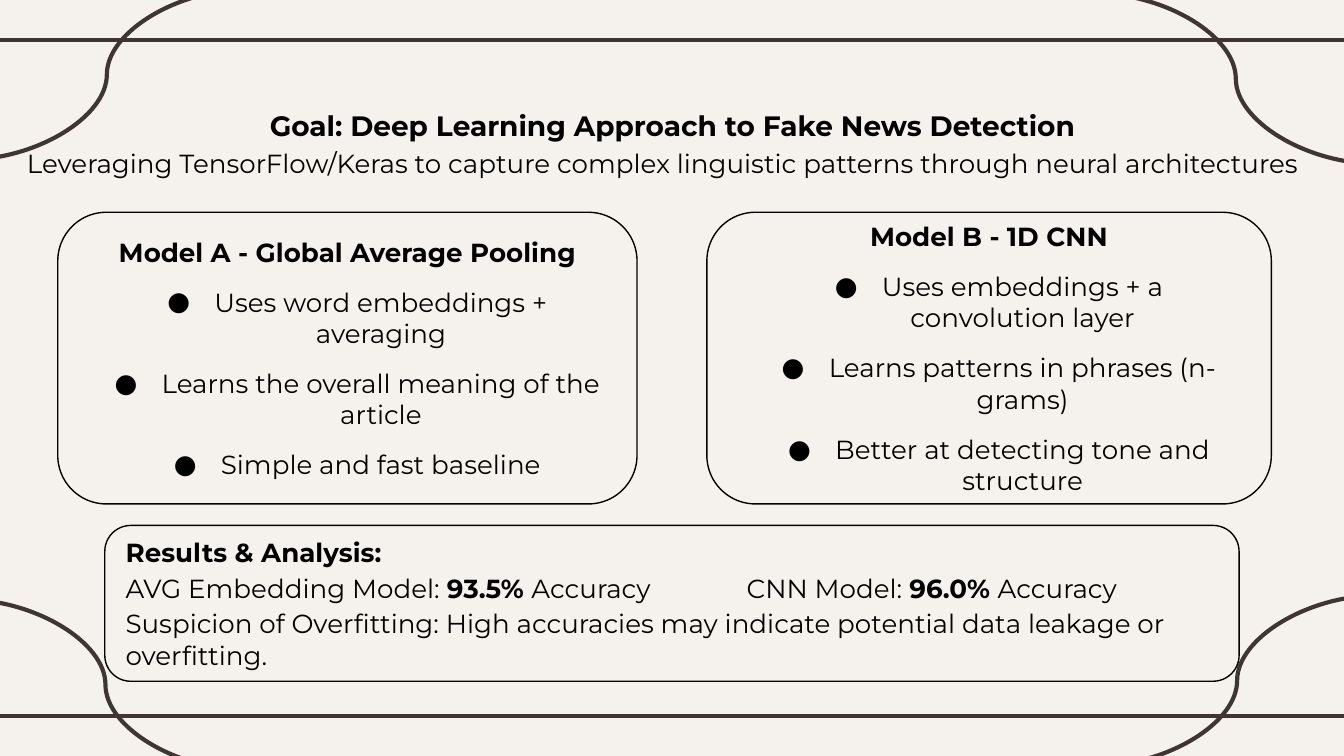
from lxml import etree
from pptx import Presentation
from pptx import util as u
from pptx.dml.color import RGBColor
from pptx.enum import shapes, text
from pptx.oxml.ns import qn

WIDTH = 10
HEIGHT = WIDTH * 9 / 16
FONT = "Montserrat"
BLACK, BROWN, CREAM = "000000", "3F3533", "F5F2EE"
CURVE_WIDTH, CURVE_HEIGHT = 2.11, 1.27
LINE_GAP = 2.4
ALIGN = text.PP_ALIGN

MODELS = [
    ("Model A - Global Average Pooling", 0.43, 4.31,
     ["Uses word embeddings + averaging",
      "Learns the overall meaning of the article",
      "Simple and fast baseline"]),
    ("Model B - 1D CNN", 5.26, 4.2,
     ["Uses embeddings + a convolution layer",
      "Learns patterns in phrases (n-grams)",
      "Better at detecting tone and structure"]),
]


def color(hex_string):
    return RGBColor.from_string(hex_string)


def add_line(slide, kind, *ends):
    line = slide.shapes.add_connector(kind, *(u.Inches(end) for end in ends))
    line.line.color.rgb = color(BROWN)
    line.line.width = u.Pt(2.25)
    etree.SubElement(line._element.spPr, qn("a:effectLst"))


def prepare_frame(shape, anchor):
    frame = shape.text_frame
    frame.word_wrap = True
    frame.auto_size = text.MSO_AUTO_SIZE.NONE
    frame.vertical_anchor = anchor
    frame.margin_left = frame.margin_right = u.Inches(0.1)
    frame.margin_top = frame.margin_bottom = u.Inches(0.1)
    return frame


def add_box(slide, left, top, width, height):
    box = slide.shapes.add_shape(shapes.MSO_SHAPE.ROUNDED_RECTANGLE,
                                 *(u.Inches(n) for n in (left, top, width, height)))
    box.shadow.inherit = False
    box.fill.background()
    box.line.color.rgb = color(BLACK)
    box.line.width = u.Pt(0.75)
    return prepare_frame(box, text.MSO_ANCHOR.MIDDLE)


def add_bullet(paragraph):
    properties = paragraph._p.get_or_add_pPr()
    properties.set("marL", str(u.Inches(0.5)))
    properties.set("indent", str(u.Inches(-0.35)))
    bullet_color = etree.SubElement(properties, qn("a:buClr"))
    etree.SubElement(bullet_color, qn("a:srgbClr"), val=BLACK)
    etree.SubElement(properties, qn("a:buFont"), typeface=FONT)
    etree.SubElement(properties, qn("a:buChar"), char="●")


def add_tab(paragraph, position):
    tabs = etree.SubElement(paragraph._p.get_or_add_pPr(), qn("a:tabLst"))
    etree.SubElement(tabs, qn("a:tab"), pos=str(u.Inches(position)), algn="l")


def add_paragraph(frame, words, align, bold=False, size=14, before=0,
                  bullet=False, tab=None):
    """Write a paragraph; words is a string or a list of (string, bold) runs."""
    first = frame.paragraphs[0]
    paragraph = frame.add_paragraph() if first.runs else first
    if bullet:
        add_bullet(paragraph)
    if tab:
        add_tab(paragraph, tab)
    paragraph.alignment = align
    paragraph.space_before = u.Pt(before)
    font = paragraph.font
    font.name, font.size = FONT, u.Pt(size)
    font.color.rgb = color(BLACK)
    if isinstance(words, str):
        font.bold = bold
        paragraph.add_run().text = words
    else:
        for words_part, part_bold in words:
            run = paragraph.add_run()
            run.text = words_part
            run.font.bold = part_bold
    return paragraph


def add_frame_lines(slide):
    straight, curve = shapes.MSO_CONNECTOR.STRAIGHT, shapes.MSO_CONNECTOR.CURVE
    for y in (0.3, 5.33):
        add_line(slide, straight, -0.08, y, WIDTH + 0.08, y)
    # Corner curves: start point and horizontal direction
    for x, y, direction in ((-0.27, 4.46, 1), (8.14, -0.05, 1),
                            (10.26, 4.43, -1), (1.85, -0.08, -1)):
        add_line(slide, curve, x, y, x + direction * CURVE_WIDTH, y + CURVE_HEIGHT)


def add_heading(slide):
    title = slide.shapes.title
    title.left, title.top = u.Inches(0.1), u.Inches(0.71)
    title.width, title.height = u.Inches(9.81), u.Inches(0.61)
    frame = prepare_frame(title, text.MSO_ANCHOR.TOP)
    add_paragraph(frame, "Goal: Deep Learning Approach to Fake News Detection",
                  ALIGN.CENTER, bold=True, size=15)
    add_paragraph(frame, "Leveraging TensorFlow/Keras to capture complex linguistic "
                  "patterns through neural architectures", ALIGN.LEFT, before=LINE_GAP)


def add_model(slide, name, left, width, points):
    frame = add_box(slide, left, 1.58, width, 2.17)
    add_paragraph(frame, name, ALIGN.CENTER, bold=True)
    for point in points:
        paragraph = add_paragraph(frame, point, ALIGN.CENTER, before=10, bullet=True)
    paragraph.space_after = u.Pt(10)


def add_results(slide):
    frame = add_box(slide, 0.78, 3.91, 8.44, 1.16)
    add_paragraph(frame, "Results & Analysis:", ALIGN.LEFT, bold=True)
    add_paragraph(frame, [("AVG Embedding Model: ", False), ("93.5% ", True),
                          ("Accuracy\tCNN Model: ", False), ("96.0% ", True),
                          ("Accuracy", False)], ALIGN.LEFT, before=LINE_GAP, tab=4.62)
    add_paragraph(frame, "Suspicion of Overfitting: High accuracies may indicate "
                  "potential data leakage or overfitting.", ALIGN.LEFT, before=LINE_GAP)


def main():
    presentation = Presentation()
    presentation.slide_width = u.Inches(WIDTH)
    presentation.slide_height = u.Inches(HEIGHT)
    slide = presentation.slides.add_slide(presentation.slide_layouts[5])
    slide.background.fill.solid()
    slide.background.fill.fore_color.rgb = color(CREAM)

    add_frame_lines(slide)
    add_heading(slide)
    for model in MODELS:
        add_model(slide, *model)
    add_results(slide)
    presentation.save("out.pptx")


if __name__ == "__main__":
    main()
